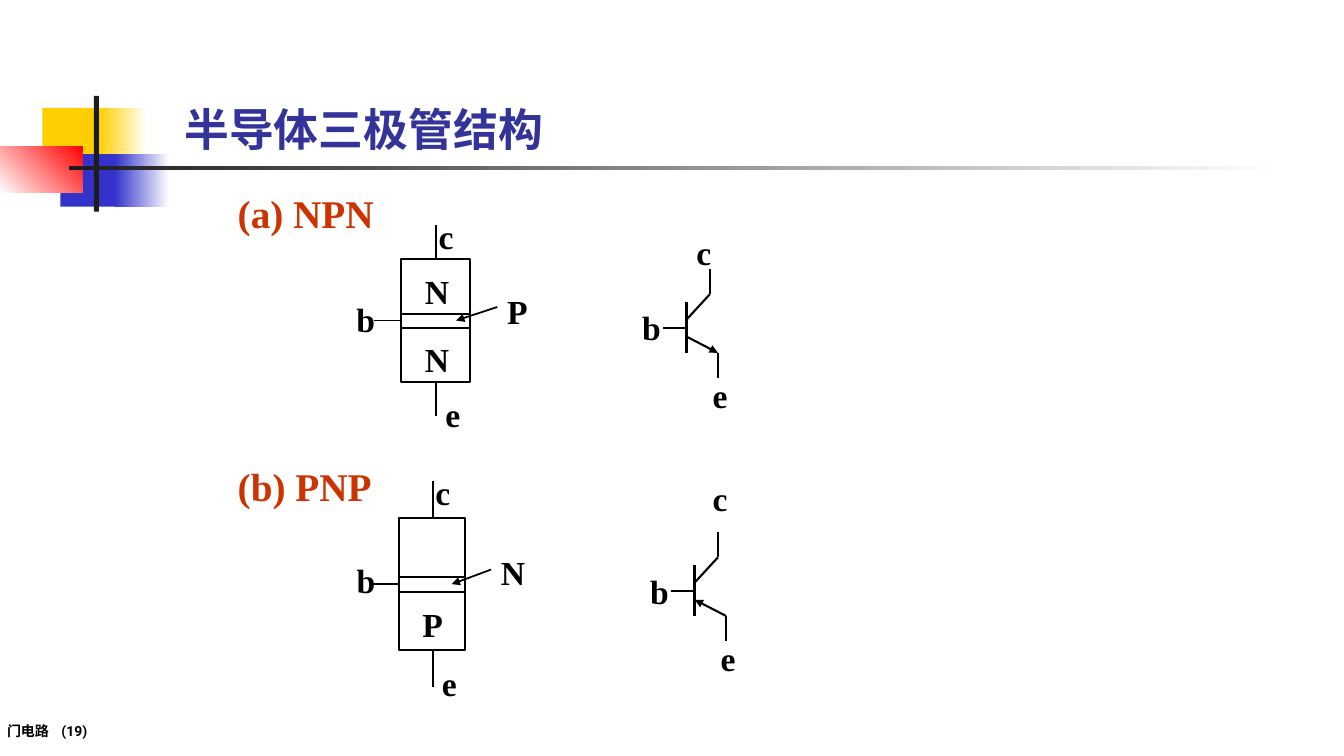
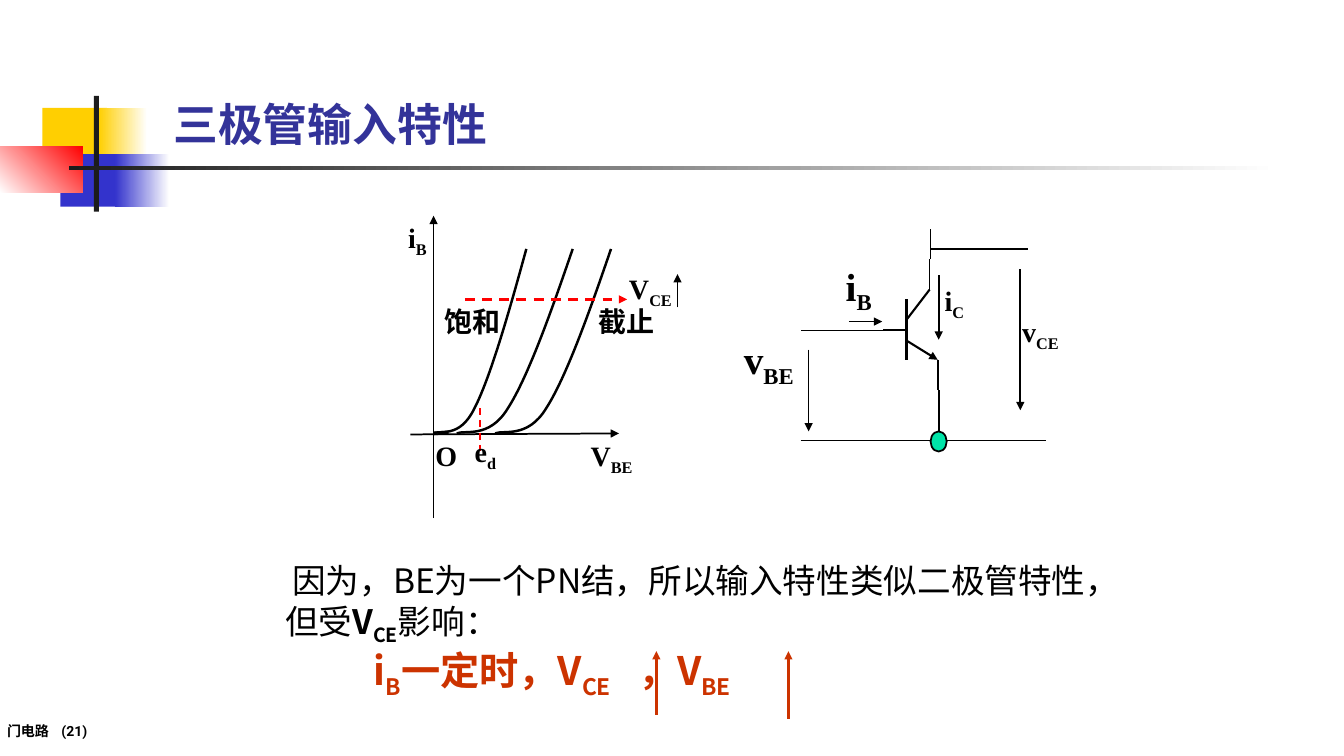
from pptx import Presentation
from pptx import util as u
from pptx.dml.color import RGBColor
from pptx.enum import dml, shapes, text
from pptx.oxml.ns import qn
from lxml import etree

SERIF, HAN, SANS = "Times New Roman", "Noto Sans CJK SC", "Roboto"
BLACK, WHITE, RED, RUST = "000000", "FFFFFF", "FF0000", "CC3300"
NAVY, BLUE, GOLD, INK, GREEN = "333399", "3333CC", "FFCF01", "1C1C1C", "00E4A8"
I = u.Inches


def rgb(code):
    return RGBColor.from_string(code)


# ---- drawing helpers ----
def box(s, x, y, w, h, fill=None, fade=None, turn=0, edge=None,
        kind=shapes.MSO_SHAPE.RECTANGLE):
    """Preset shape: plain fill, fill fading to another colour, or outline."""
    b = s.shapes.add_shape(kind, I(x), I(y), I(w), I(h))
    b.shadow.inherit = False
    if fade:
        b.fill.gradient()
        b.fill.gradient_angle = turn
        for stop, code in zip(b.fill.gradient_stops, (fill, fade)):
            stop.color.rgb = rgb(code)
    elif fill:
        b.fill.solid()
        b.fill.fore_color.rgb = rgb(fill)
    else:
        b.fill.background()
    if edge:
        b.line.color.rgb = rgb(edge)
        b.line.width = u.Pt(1.25)
    else:
        b.line.fill.background()


def line(s, x1, y1, x2, y2, wide=1.25, color=BLACK, dash=False, tip=False):
    c = s.shapes.add_connector(shapes.MSO_CONNECTOR.STRAIGHT,
                               I(x1), I(y1), I(x2), I(y2))
    c.line.color.rgb = rgb(color)
    c.line.width = u.Pt(wide)
    if dash:
        c.line.dash_style = dml.MSO_LINE.DASH
    if tip:
        etree.SubElement(c.line._get_or_add_ln(), qn("a:tailEnd"), type="triangle")
    etree.SubElement(c._element.spPr, qn("a:effectLst"))


def write(p, words, size, font, color, bold=True, indent=0, tab=None):
    """Fill a paragraph; every second part between underscores is a subscript."""
    props = p._p.get_or_add_pPr()
    if indent:
        props.set("indent", str(I(indent)))
    if tab:
        stops = etree.SubElement(props, qn("a:tabLst"))
        etree.SubElement(stops, qn("a:tab"), pos=str(I(tab)), algn="l")
    p.font.name, p.font.size, p.font.bold = font, u.Pt(size), bold
    p.font.color.rgb = rgb(color)
    etree.SubElement(p.font._element, qn("a:ea"), typeface=font)
    for n, part in enumerate(words.split("_")):
        if part:
            r = p.add_run()
            r.text = part
            if n % 2:
                r._r.get_or_add_rPr().set("baseline", "-25000")


def label(s, x, y, words, size=24, font=SERIF, color=BLACK, w=1.2, h=0.5, **more):
    t = s.shapes.add_textbox(I(x), I(y), I(w), I(h)).text_frame
    t.word_wrap = True
    write(t.paragraphs[0], words, size, font, color, **more)
    return t


# ---- shared frame: ornament, rule, title, footer ----
def frame(deck, title, x, y, page):
    s = deck.slides.add_slide(deck.slide_layouts[6])
    box(s, 0.42, 1.07, 0.64, 0.52, GOLD)
    box(s, 0.98, 1.07, 0.48, 0.52, GOLD, WHITE)
    box(s, 0.6, 1.53, 0.62, 0.52, BLUE)
    box(s, 1.14, 1.53, 0.54, 0.52, BLUE, WHITE)
    box(s, 0, 1.45, 0.82, 0.46, WHITE, RED, 45)
    box(s, 0.93, 0.95, 0.05, 1.15, INK)
    box(s, 0.68, 1.65, 12, 0.04, INK, WHITE)
    t = label(s, 0, 7.14, f"门电路\t({page})", 10, SANS, w=2.36, h=0.22, tab=0.54)
    t.margin_left = t.margin_right = I(0.07)
    t.margin_top = t.margin_bottom = I(0.03)
    t = label(s, x, y, title, 32, HAN, NAVY, 9, 0.75)
    t.vertical_anchor = text.MSO_ANCHOR.BOTTOM
    return s


# ---- transistor parts ----
def stack(s, x, y, w, h, top, mid, low):
    """Layered block; all places are fractions of its box."""
    def at(fx, fy):
        return x + fx * w, y + fy * h

    box(s, x, y, w, h, edge=BLACK)
    box(s, *at(0, 0.445), w, 0.115 * h, edge=BLACK)
    for a, b in (((0.51, 0), (0.51, -0.28)), ((0.51, 1.28), (0.51, 1)),
                 ((0, 0.5), (-0.4, 0.5))):
        line(s, *at(*a), *at(*b))
    line(s, *at(1.4, 0.39), *at(0.8, 0.5), tip=True)
    for words, fx, fy in ((top, 0.2, 0.06), (low, 0.2, 0.61), (mid, 1.4, 0.22),
                          ("c", 0.4, -0.39), ("e", 0.5, 1.06), ("b", -0.8, 0.28)):
        if words:
            label(s, *at(fx, fy), words)


def symbol(s, x, y, k=1, pnp=False):
    """Circuit symbol from the top of its bar, stretched k times in height."""
    root, end = (x, y + 0.34 * k), (x + 0.31, y + 0.5 * k)
    line(s, x, y, x, y + 0.5 * k, 2)
    line(s, *(end + root if pnp else root + end), 1.5, tip=True)
    line(s, x, y + 0.17 * k, x + 0.23, y - 0.08 * k, 1.5)
    line(s, x + 0.23, y - 0.08 * k, x + 0.23, y - 0.33 * k)
    line(s, *end, x + 0.31, y + 0.75 * k)
    line(s, x - 0.23, y + 0.25 * k, x, y + 0.25 * k, 1.5)


def pins(s, x, y, cx, cy):
    for words, dx, dy in (("e", 0.16, 0.67), ("c", cx, cy), ("b", -0.54, 0)):
        label(s, x + dx, y + dy, words)


# ---- input characteristic ----
def curve(s, x, y, w, h):
    """Two joined Bezier arcs rising from lower left to upper right."""
    knots = [(1, 0), (0.81, 0.35), (0.61, 0.7), (0.44, 0.865),
             (0.28, 1.03), (0.07, 0.98), (0, 1)]
    dots = [(I(x + fx * w), I(y + fy * h)) for fx, fy in knots]
    pen = s.shapes.build_freeform(*dots[0])
    pen.add_line_segments(dots[1:], close=False)
    f = pen.convert_to_shape()
    legs = list(f._element.iter(qn("a:lnTo")))
    for n in (0, 3):
        arc = etree.SubElement(legs[0].getparent(), qn("a:cubicBezTo"))
        for leg in legs[n:n + 3]:
            arc.append(leg[0])
    for leg in legs:
        leg.getparent().remove(leg)
    f.shadow.inherit = False
    f.fill.background()
    f.line.color.rgb = rgb(BLACK)
    f.line.width = u.Pt(1.75)


def chart(s, x, y):
    """Curves and axes around the origin (x, y)."""
    line(s, x - 0.23, y + 0.01, x + 1.84, y, tip=True)
    line(s, x, y + 0.84, x, y - 2.16, tip=True)
    for dy in (0, -0.02):
        line(s, x + 0.15, y + dy, x, y + dy + 0.01)
    for dx, w in ((0, 0.92), (0.23, 1.15), (0.61, 1.15)):
        curve(s, x + dx, y - 1.83, w, 1.83)
    line(s, x + 0.46, y - 0.25, x + 0.46, y + 0.17, color=RED, dash=True)
    line(s, x + 0.31, y - 1.33, x + 1.92, y - 1.33, 1.75, RED, True, True)
    line(s, x + 2.42, y - 1.25, x + 2.42, y - 1.58, tip=True)
    for words, dx, dy in (("i_B", -0.35, -2.16), ("O", -0.08, 0), ("V_BE", 1.46, 0),
                          ("e_d", 0.31, -0.04), ("V_CE", 1.84, -1.66)):
        label(s, x + dx, y + dy, words, 20)
    for words, dx in (("饱和", 0.01), ("截止", 1.54)):
        label(s, x + dx, y - 1.33, words, 20, HAN)


# ---- test circuit ----
def circuit(s, x, y):
    """Wiring around a symbol whose bar starts at (x, y)."""
    symbol(s, x, y, 1.2)
    for x1, y1, x2, y2 in ((0.24, -0.4, 0.24, -0.7), (0.32, 0.9, 0.32, 1.4),
                           (-1.05, 1.4, 1.38, 1.4), (-0.13, 0.31, -1.05, 0.31),
                           (0.24, -0.5, 1.21, -0.5)):
        line(s, x + x1, y + y1, x + x2, y + y2)
    box(s, x + 0.24, y + 1.31, 0.16, 0.2, GREEN, edge=BLACK,
        kind=shapes.MSO_SHAPE.OVAL)
    for x1, y1, x2, y2 in ((0.32, -0.24, 0.32, 0.4), (-0.97, 0.5, -0.97, 1.31),
                           (-0.57, 0.22, -0.24, 0.22), (1.13, -0.3, 1.13, 1.1)):
        line(s, x + x1, y + y1, x + x2, y + y2, tip=True)
    for words, dx, dy, size in (("i_C", 0.28, -0.21, 20), ("v_BE", -1.71, 0.31, 28),
                                ("i_B", -0.7, -0.42, 28), ("v_CE", 1.05, 0.1, 20)):
        label(s, x + dx, y + dy, words, size)


def remark(s, x, y):
    t = label(s, x, y, "因为，BE为一个PN结，所以输入特性类似二极管特性，但受__V_CE_影响：",
              24, HAN, w=8.58, h=1.38, bold=False, indent=0.07)
    for r in t.paragraphs[0].runs[1:3]:
        r.font.bold = True
    write(t.add_paragraph(), "i_B_一定时，V_CE_\t，V_BE", 28, HAN, RUST,
          indent=0.88, tab=3.75)
    for dx, low in ((3.78, 1.58), (5.09, 1.62)):
        line(s, x + dx, y + low, x + dx, y + 0.95, 1.75, RUST, tip=True)


def main():
    deck = Presentation()
    deck.slide_width, deck.slide_height = I(13.33), I(7.5)

    s = frame(deck, "半导体三极管结构", 1.73, 0.84, 19)
    label(s, 2.26, 1.83, "(a) NPN", 28, color=RUST, w=1.83)
    stack(s, 3.98, 2.57, 0.68, 1.22, "N", "P", "N")
    symbol(s, 6.81, 3)
    pins(s, 6.81, 3, 0, -0.75)
    label(s, 2.26, 4.54, "(b) PNP", 28, color=RUST, w=1.83)
    stack(s, 3.96, 5.14, 0.65, 1.31, "", "N", "P")
    symbol(s, 6.89, 5.61, pnp=True)
    pins(s, 6.89, 5.61, 0.08, -0.92)

    s = frame(deck, "三极管输入特性", 1.62, 0.79, 21)
    chart(s, 4.3, 4.3)
    circuit(s, 8.99, 2.97)
    remark(s, 2.73, 5.51)
    deck.save("out.pptx")


if __name__ == "__main__":
    main()
